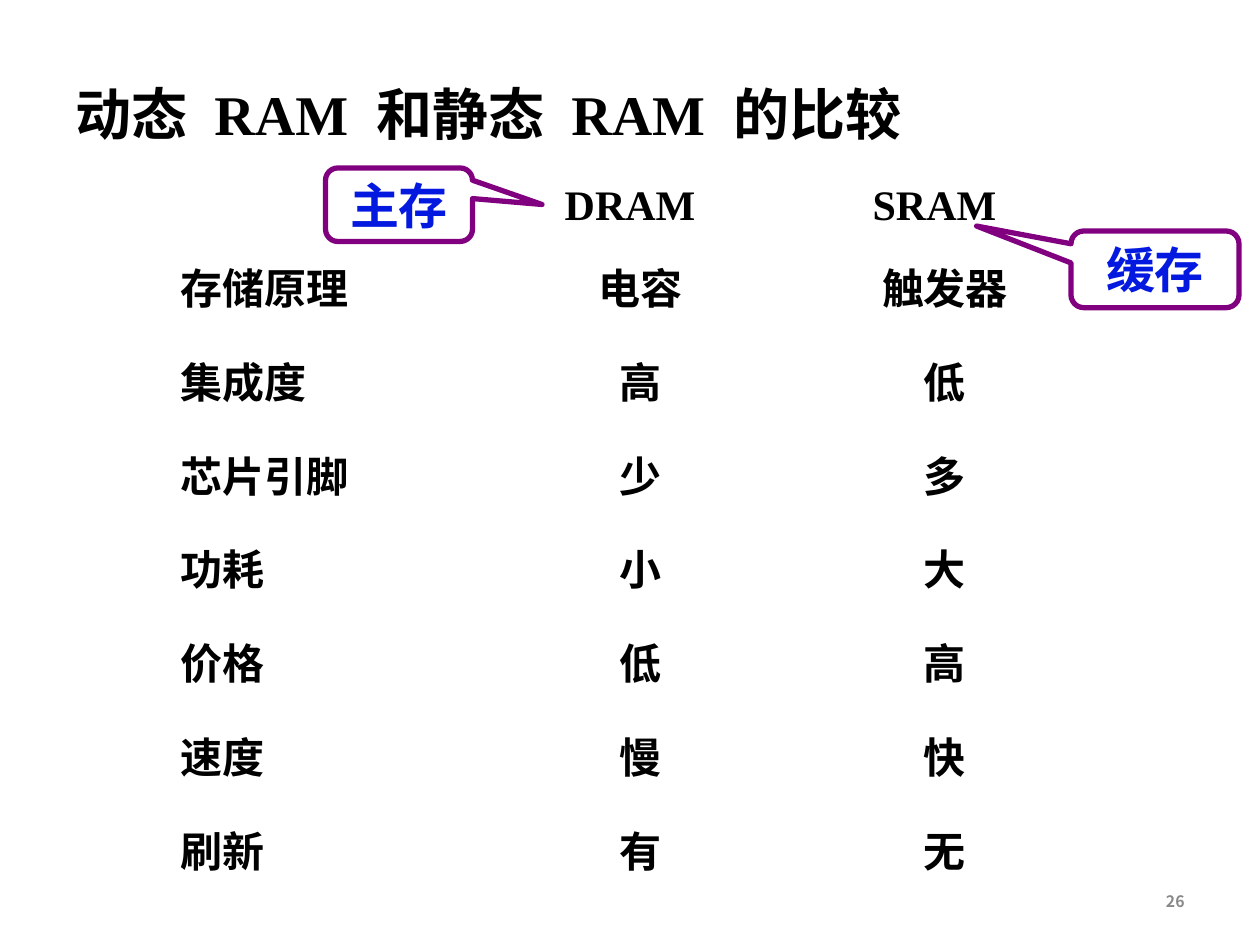
from dataclasses import dataclass

from pptx import Presentation
from pptx.dml.color import RGBColor
from pptx.enum.shapes import MSO_SHAPE
from pptx.enum.text import MSO_ANCHOR, MSO_AUTO_SIZE, PP_ALIGN
from pptx.oxml.ns import qn
from pptx.util import Inches, Pt

CELL = Inches(1) // 12
LATIN, CJK = "Times New Roman", "Noto Sans CJK SC"
BLACK, BLUE, PURPLE, GREY = "000000", "0419E0", "800080", "898989"
ROW_TOP, ROW_PITCH = 24.4, 8.94
COLUMN_WIDTH, ROW_HEIGHT = 32, 6
HEADER_TOP = 16.4


@dataclass(frozen=True)
class Area:
    """Place on the slide's grid of 120 columns and 90 rows."""
    column: float
    row: float
    columns: float = COLUMN_WIDTH
    rows: float = ROW_HEIGHT

    def box(self) -> tuple[int, ...]:
        """Return left, top, width and height as lengths."""
        return tuple(round(n * CELL) for n in (self.column, self.row, self.columns, self.rows))


@dataclass(frozen=True)
class Style:
    """Look of one line of text."""
    size: float = 24
    color: str = BLACK
    align: PP_ALIGN = PP_ALIGN.CENTER
    anchor: MSO_ANCHOR = MSO_ANCHOR.TOP
    latin: str = LATIN


@dataclass(frozen=True)
class Callout:
    """Speech bubble naming where a kind of memory is used."""
    label: str
    area: Area
    tip: tuple[float, float]


HEADERS = {"DRAM": 44, "SRAM": 73}
COMPARISON = [
    ("存储原理", "电容", "触发器"),
    ("集成度", "高", "低"),
    ("芯片引脚", "少", "多"),
    ("功耗", "小", "大"),
    ("价格", "低", "高"),
    ("速度", "慢", "快"),
    ("刷新", "有", "无"),
]
COLUMNS = [(16, Style(align=PP_ALIGN.LEFT)), (45, Style()), (74, Style())]
CALLOUTS = [
    Callout("主存", Area(31, 16, 14, 7), (0.973, -0.003)),
    Callout("缓存", Area(102, 22, 16, 7.3), (-1.062, -0.565)),
]


def rgb(value: str) -> RGBColor:
    """Turn a hex string into a colour."""
    return RGBColor.from_string(value)


def add_run(paragraph, text: str, style: Style):
    """Add one bold run with Latin and East Asian fonts and return it."""
    run = paragraph.add_run()
    run.text = text
    for name, value in {"size": Pt(style.size), "bold": True, "name": style.latin}.items():
        setattr(run.font, name, value)
    run.font.color.rgb = rgb(style.color)
    east_asian = run.font._element.makeelement(qn("a:ea"), {"typeface": CJK})
    run.font._element.find(qn("a:latin")).addnext(east_asian)
    return run


def format_frame(frame, style: Style, auto_size=MSO_AUTO_SIZE.NONE):
    """Set wrapping, anchor and alignment and return the first paragraph."""
    for name, value in {"word_wrap": True, "auto_size": auto_size,
                        "vertical_anchor": style.anchor}.items():
        setattr(frame, name, value)
    frame.paragraphs[0].alignment = style.align
    return frame.paragraphs[0]


def add_text(slide, text: str, area: Area, style: Style) -> None:
    """Add a text box with one line."""
    frame = slide.shapes.add_textbox(*area.box()).text_frame
    add_run(format_frame(frame, style), text, style)


def set_title(slide, text: str, area: Area) -> None:
    """Place the title and widen the gaps between its words."""
    title = slide.shapes.title
    for name, value in zip(("left", "top", "width", "height"), area.box()):
        setattr(title, name, value)
    style = Style(size=32, align=PP_ALIGN.LEFT)
    paragraph = format_frame(title.text_frame, style)
    for index, word in enumerate(text.split(" ")):
        if index:
            gap = add_run(paragraph, " ", style)
            gap.font._element.set("spc", "800")
        add_run(paragraph, word, style)


def add_callout(slide, callout: Callout) -> None:
    """Add an unfilled rounded callout with its label."""
    bubble = slide.shapes.add_shape(MSO_SHAPE.ROUNDED_RECTANGULAR_CALLOUT, *callout.area.box())
    bubble.adjustments[0], bubble.adjustments[1] = callout.tip
    bubble.shadow.inherit = False
    bubble.fill.background()
    bubble.line.color.rgb = rgb(PURPLE)
    bubble.line.width = Pt(3)
    for side in ("left", "top", "right", "bottom"):
        setattr(bubble.text_frame, f"margin_{side}", 0)
    style = Style(size=28, color=BLUE, anchor=MSO_ANCHOR.MIDDLE)
    add_run(format_frame(bubble.text_frame, style), callout.label, style)


def main() -> None:
    """Build the comparison slide."""
    deck = Presentation()
    deck.slide_width, deck.slide_height = Inches(10), Inches(7.5)
    slide = deck.slides.add_slide(deck.slide_layouts[5])
    set_title(slide, "动态 RAM 和静态 RAM 的比较", Area(6, 7, 90, 7.6))
    for header, column in HEADERS.items():
        add_text(slide, header, Area(column, HEADER_TOP), Style())
    for index, entries in enumerate(COMPARISON):
        for entry, (column, style) in zip(entries, COLUMNS):
            add_text(slide, entry, Area(column, ROW_TOP + index * ROW_PITCH), style)
    for callout in CALLOUTS:
        add_callout(slide, callout)
    add_text(slide, "26", Area(86, 83.4, 28, 4.8),
             Style(9, GREY, PP_ALIGN.RIGHT, MSO_ANCHOR.MIDDLE, CJK))
    deck.save("out.pptx")


if __name__ == "__main__":
    main()
